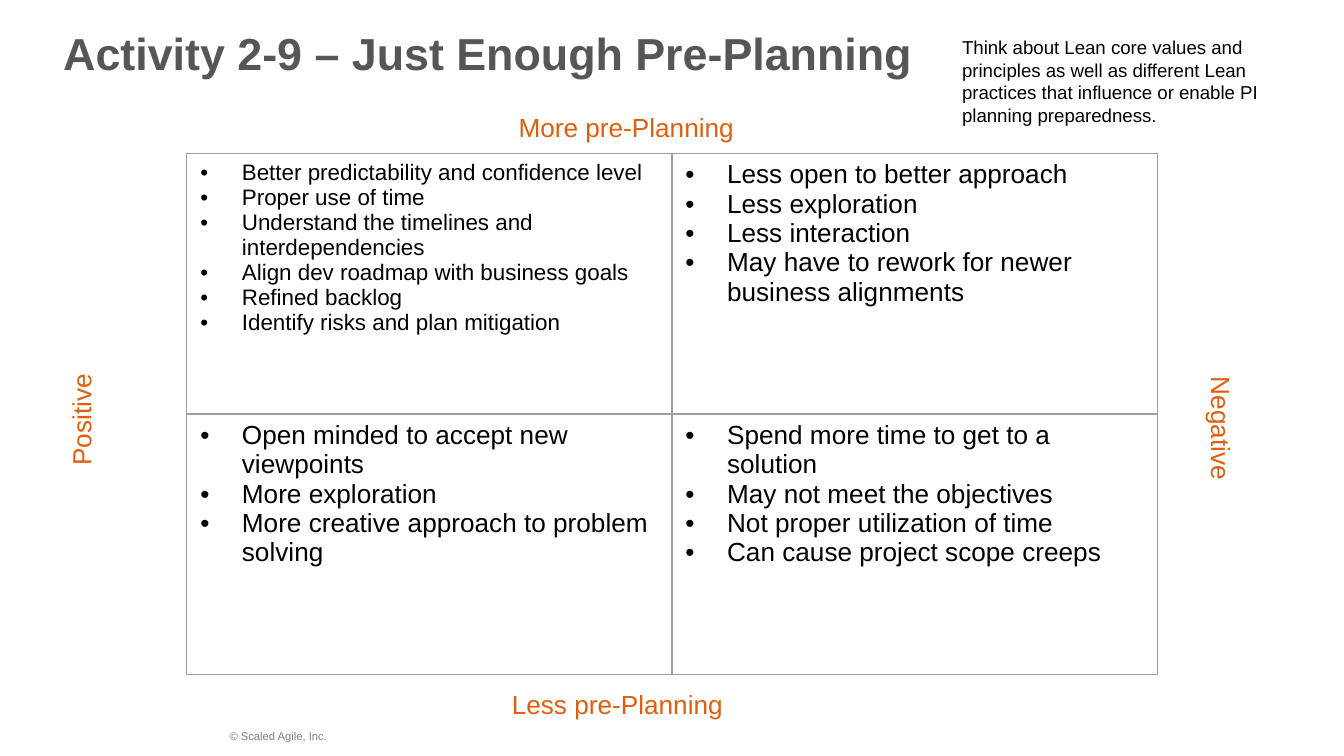
from lxml import etree
from pptx import Presentation
from pptx.dml.color import RGBColor
from pptx.enum.text import MSO_ANCHOR, MSO_AUTO_SIZE, PP_ALIGN
from pptx.oxml.ns import qn
from pptx.util import Inches, Pt

LEFT = PP_ALIGN.LEFT
TOP = MSO_ANCHOR.TOP
MIDDLE = MSO_ANCHOR.MIDDLE
FIXED = MSO_AUTO_SIZE.NONE
EDGES = ("a:lnL", "a:lnR", "a:lnT", "a:lnB")


def paint(color, tint):
    color.rgb = RGBColor.from_string(tint)


def write(frame, lines, size, tint, bold=False, **form):
    for key, value in form.items():
        setattr(frame, key, value)
    for i, line in enumerate(lines):
        para = frame.add_paragraph() if i else frame.paragraphs[0]
        para.alignment = LEFT
        run = para.add_run()
        run.text = line
        look = {"name": "Arial", "size": Pt(size), "bold": bold}
        for key, value in look.items():
            setattr(run.font, key, value)
        paint(run.font.color, tint)


deck = Presentation()
deck.slide_width = Inches(10)
deck.slide_height = Inches(10) * 9 // 16
slide = deck.slides.add_slide(deck.slide_layouts[5])

title = slide.shapes.title
place = {"left": 0.47, "top": 0.19, "width": 9.05, "height": 0.4}
for key, value in place.items():
    setattr(title, key, Inches(value))
flush = {f"margin_{side}": 0 for side in ("left", "top", "right", "bottom")}
write(title.text_frame, ["Activity 2-9 – Just Enough Pre-Planning"], 24, "565656",
      bold=True, word_wrap=True, auto_size=FIXED, vertical_anchor=MIDDLE, **flush)

lists = [
    [
        (12, ["Better predictability and confidence level",
              "Proper use of time",
              "Understand the timelines and interdependencies",
              "Align dev roadmap with business goals",
              "Refined backlog",
              "Identify risks and plan mitigation"]),
        (14, ["Less open to better approach",
              "Less exploration",
              "Less interaction",
              "May have to rework for newer business alignments"]),
    ],
    [
        (14, ["Open minded to accept new viewpoints",
              "More exploration",
              "More creative approach to problem solving"]),
        (14, ["Spend more time to get to a solution",
              "May not meet the objectives",
              "Not proper utilization of time",
              "Can cause project scope creeps"]),
    ],
]
grid = slide.shapes.add_table(2, 2, Inches(1.39), Inches(1.14),
                              Inches(7.22), Inches(3.88)).table
grid.first_row = grid.horz_banding = False
indent = Inches(0.31)
for r, row in enumerate(lists):
    for c, (size, lines) in enumerate(row):
        cell = grid.cell(r, c)
        write(cell.text_frame, lines, size, "000000")
        for para in cell.text_frame.paragraphs:
            props = para._p.get_or_add_pPr()
            props.set("marL", str(indent))
            props.set("indent", str(-indent))
            color = etree.SubElement(props, qn("a:buClr"))
            etree.SubElement(color, qn("a:srgbClr"), val="000000")
            etree.SubElement(props, qn("a:buFont"), typeface="Arial")
            etree.SubElement(props, qn("a:buChar"), char="•")
        props = cell._tc.get_or_add_tcPr()
        for edge in EDGES:
            line = etree.SubElement(props, qn(edge), w=str(Pt(0.75)))
            fill = etree.SubElement(line, qn("a:solidFill"))
            etree.SubElement(fill, qn("a:srgbClr"), val="9E9E9E")
        cell.fill.background()

ORANGE = "E05E0D"
notes = [
    ("More pre-Planning", 3.76, 0.73, 3.12, 0.49, 0, 14, ORANGE, 0.1),
    ("Less pre-Planning", 3.71, 5.02, 3.12, 0.49, 0, 14, ORANGE, 0.1),
    ("Negative", 8.33, 3.19, 1.46, 0.49, 90, 14, ORANGE, 0.1),
    ("Positive", -0.12, 2.57, 1.5, 0.49, 270, 14, ORANGE, 0.1),
    ("Think about Lean core values and principles as well as different Lean "
     "practices that influence or enable PI planning preparedness.",
     7.06, 0.22, 2.82, 0.77, 0, 10, "000000", 0.05),
    ("© Scaled Agile, Inc.", 1.61, 5.38, 2.07, 0.2, 0, 6, "7F7F7F", 0.05),
]
for text, x, y, wide, high, turn, size, tint, pad in notes:
    box = slide.shapes.add_textbox(Inches(x), Inches(y), Inches(wide), Inches(high))
    box.rotation = turn
    write(box.text_frame, [text], size, tint, word_wrap=True, vertical_anchor=TOP,
          margin_top=Inches(pad), margin_bottom=Inches(pad))

deck.save("out.pptx")
